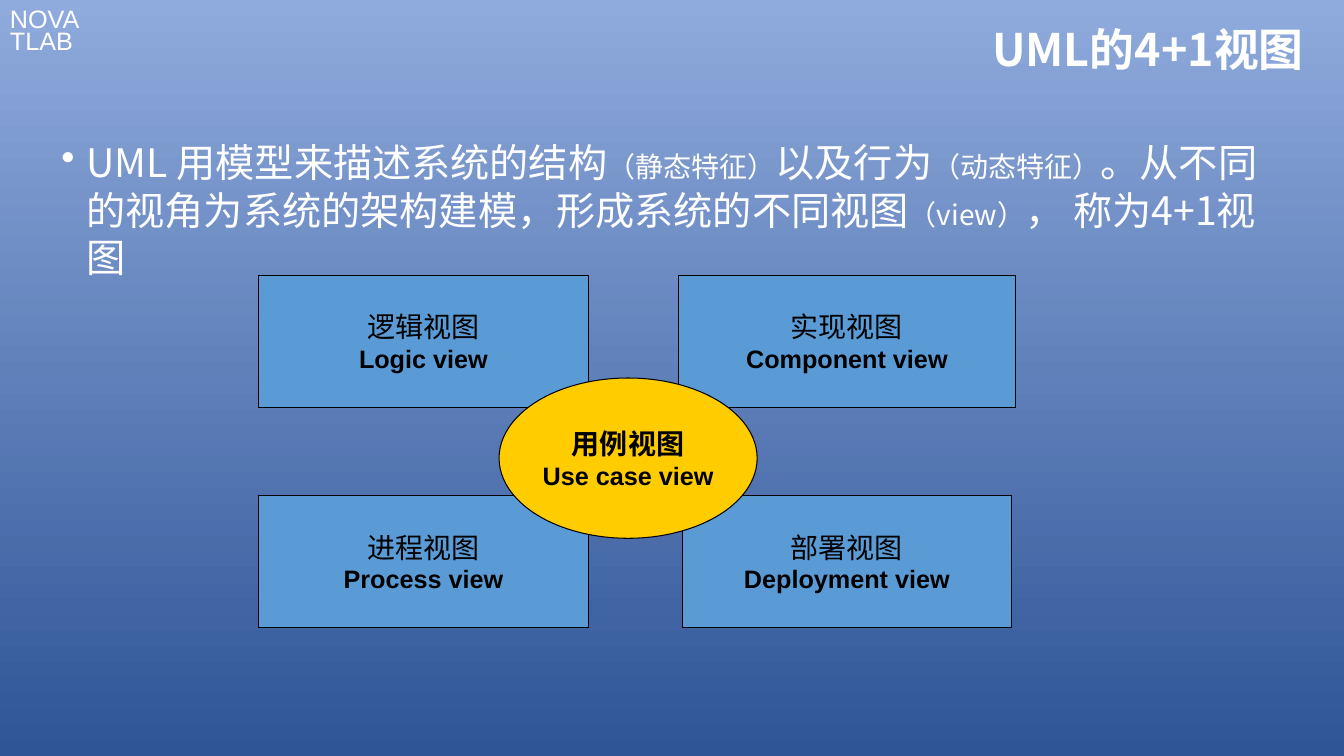
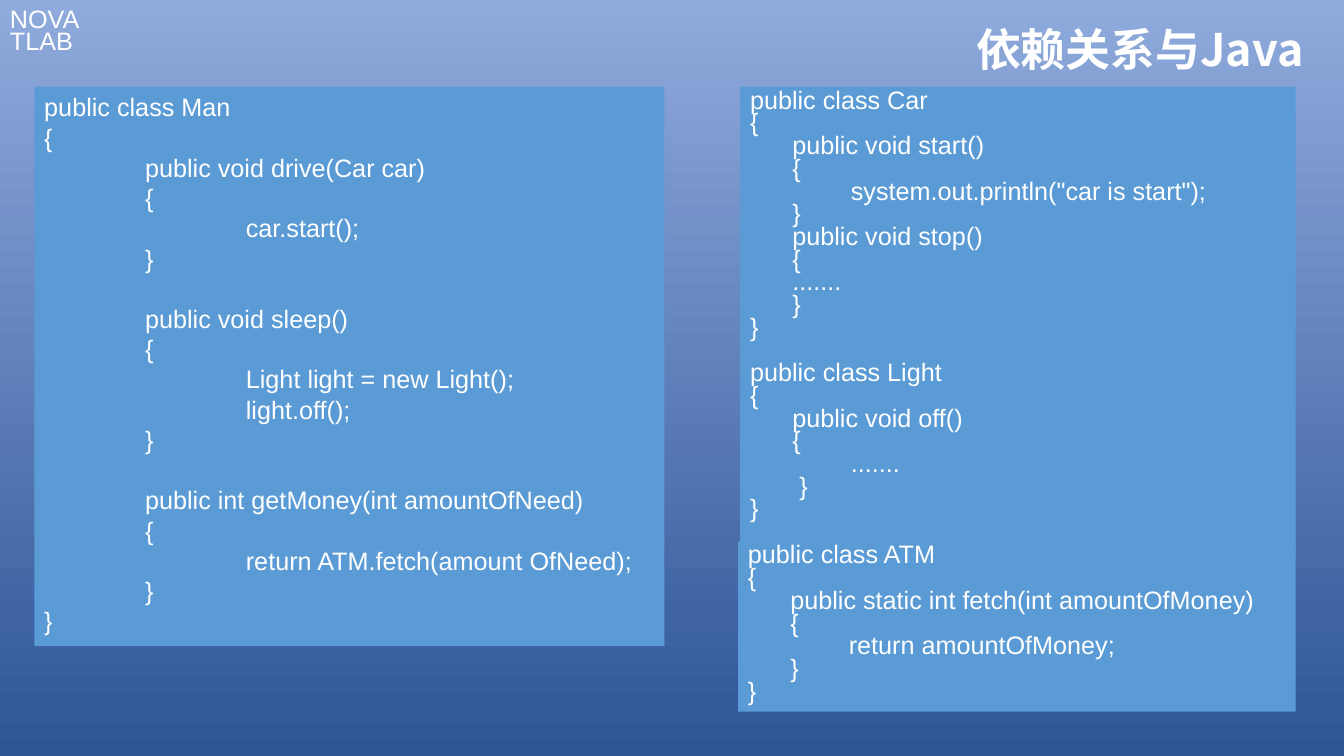
from pptx import Presentation, util as u
from pptx.dml.color import RGBColor
from pptx.enum import shapes, text
from lxml import etree

# Theme
THEME = dict(
    top="8FAADC", base="2F5597", white="FFFFFF", black="000000",
    panel="5B9BD5", core="FFCC00",
    latin="Arial", cjk="Noto Sans CJK SC",
    head=32, body=28, note=20, label=20, code=18,
)
W, H = 13.33, 7.5
LEFT, MID, RIGHT = text.PP_ALIGN.LEFT, text.PP_ALIGN.CENTER, text.PP_ALIGN.RIGHT
RECT, OVAL = shapes.MSO_SHAPE.RECTANGLE, shapes.MSO_SHAPE.OVAL

# Content
LOGO = ["NOVA", "TLAB"]
VIEWS = {
    "title": "UML的4+1视图",
    "body": [
        ("UML 用模型来描述系统的结构", "body"),
        ("（静态特征）", "note"),
        ("以及行为", "body"),
        ("（动态特征）", "note"),
        ("。从不同的视角为系统的架构建模，形成系统的不同视图", "body"),
        ("（view）", "note"),
        ("， 称为4+1视图", "body"),
    ],
    # Chinese name, English name, column, row, width
    "grid": [
        ("逻辑视图", "Logic view", 0, 0, 3.27),
        ("实现视图", "Component view", 1, 0, 3.35),
        ("进程视图", "Process view", 0, 1, 3.27),
        ("部署视图", "Deployment view", 1, 1, 3.27),
    ],
    "core": ("用例视图", "Use case view"),
}

# Code lines are (level, text); None marks a gap
MAN = [
    (0, "public class Man"), (0, "{"),
    (1, "public void drive(Car car)"), (1, "{"),
    (2, "car.start();"), (1, "}"), None,
    (1, "public void sleep()"), (1, "{"),
    (2, "Light light = new Light();"), (2, "light.off();"), (1, "}"), None,
    (1, "public int getMoney(int amountOfNeed)"), (1, "{"),
    (2, "return ATM.fetch(amount OfNeed);"), (1, "}"), (0, "}"),
]
CAR = [
    (0, "public class Car"), (0, "{"),
    (1, "public void start()"), (1, "{"),
    (2, 'system.out.println("car is start");'), (1, "}"),
    (1, "public void stop()"), (1, "{"), (1, "......."), (1, "}"), (0, "}"),
    None,
    (0, "public class Light"), (0, "{"),
    (1, "public void off()"), (1, "{"),
    (2, "......."), (3, "}"), (0, "}"),
]
ATM = [
    (0, "public class ATM"), (0, "{"),
    (1, "public static int fetch(int amountOfMoney)"), (1, "{"),
    (2, "return amountOfMoney;"), (1, "}"), (0, "}"),
]
WIDE, TIGHT = (0, 1, 2), (0, 0.42, 1, 0.49)
CODE = {
    "title": "依赖关系与Java",
    # box, lines, indent of each level, line pitch in points
    "panels": [
        ((0.34, 0.86, 6.25, 5.55), MAN, WIDE, 21.6),
        ((7.34, 0.86, 5.51, 4.64), CAR, TIGHT, 16.2),
        ((7.32, 5.37, 5.53, 1.69), ATM, TIGHT, 16.2),
    ],
}


def rgb(name):
    return RGBColor.from_string(THEME[name])


def write(frame, runs, new=True, size="code", color="white", face="latin",
          bold=False, align=LEFT, pitch=None, before=0, indent=0, bullet=None):
    """Add one paragraph; runs is a string or a list of (string, size)."""
    para = frame.add_paragraph() if new else frame.paragraphs[0]
    para.alignment, para.space_before = align, u.Pt(before)
    if pitch:
        para.line_spacing = pitch
    prop = para._p.get_or_add_pPr()
    if indent:
        prop.set("marL", str(u.Inches(indent)))
    if bullet:
        prop.set("indent", str(-u.Inches(indent)))
        tag = prop.makeelement(NS + "buChar", {"char": bullet})
        prop.append(tag)
    for words, kind in [(runs, size)] if isinstance(runs, str) else runs:
        run = para.add_run()
        run.text = words
        font = run.font
        font.size, font.bold = u.Pt(THEME[kind]), bold
        font.color.rgb, font.name = rgb(color), THEME[face]
        etree.SubElement(run._r.get_or_add_rPr(), NS + "ea",
                         typeface=THEME["cjk"])


NS = "{http://schemas.openxmlformats.org/drawingml/2006/main}"


def frame(slide, box, form=None, fill="panel", line=None, wrap=True,
          anchor=text.MSO_ANCHOR.TOP):
    """Add a text box, or a filled shape, and return its text frame."""
    place = [u.Inches(n) for n in box]
    if form is None:
        item = slide.shapes.add_textbox(*place)
    else:
        item = slide.shapes.add_shape(form, *place)
        item.shadow.inherit = False
        item.fill.solid()
        item.fill.fore_color.rgb = rgb(fill)
        if line:
            item.line.color.rgb, item.line.width = rgb(line), u.Pt(0.75)
        else:
            item.line.fill.background()
    item.text_frame.word_wrap = wrap
    item.text_frame.vertical_anchor = anchor
    return item.text_frame


def start(deck, title):
    """Add a slide with the shared background, mark and title."""
    slide = deck.slides.add_slide(deck.slide_layouts[6])
    fill = slide.background.fill
    fill.gradient()
    fill.gradient_angle = 270
    for stop, name in zip(fill.gradient_stops, ("top", "base")):
        stop.color.rgb = rgb(name)
    mark = frame(slide, (0, 0.05, 1.52, 0.57))
    for i, word in enumerate(LOGO):
        write(mark, word, new=i > 0, pitch=0.75)
    head = frame(slide, (1.73, 0.16, 11.3, 0.71),
                 anchor=text.MSO_ANCHOR.MIDDLE)
    write(head, title, new=False, size="head", face="cjk", bold=True,
          align=RIGHT, pitch=0.9)
    return slide


def label(slide, box, names, strong=False, **look):
    """Add an outlined shape with a Chinese and an English name."""
    area = frame(slide, box, line="black", wrap=False,
                 anchor=text.MSO_ANCHOR.MIDDLE, **look)
    write(area, names[0], new=False, size="label", color="black",
          bold=strong, align=MID)
    write(area, names[1], color="black", bold=True, align=MID)


def views(deck):
    slide = start(deck, VIEWS["title"])
    body = frame(slide, (0.51, 1.32, 12.2, 5.45))
    write(body, VIEWS["body"], new=False, face="cjk", pitch=u.Pt(34),
          indent=0.25, bullet="•")
    # Four views on a grid of column centres and row tops
    for name, gloss, col, row, wide in VIEWS["grid"]:
        box = (4.2 + 4.2 * col - wide / 2, 2.73 + 2.19 * row, wide, 1.31)
        label(slide, box, (name, gloss), form=RECT)
    # The view that joins them
    label(slide, (4.95, 3.75, 2.56, 1.59), VIEWS["core"], strong=True,
          form=OVAL, fill="core")


def code(deck):
    slide = start(deck, CODE["title"])
    for box, lines, steps, pitch in CODE["panels"]:
        area = frame(slide, box, form=RECT)
        gap = 0
        for i, line in enumerate(lines):
            if line is None:
                gap = pitch
                continue
            level, words = line
            write(area, words, new=i > 0, pitch=u.Pt(pitch), before=gap,
                  indent=steps[level])
            gap = 0


def main():
    deck = Presentation()
    deck.slide_width, deck.slide_height = u.Inches(W), u.Inches(H)
    views(deck)
    code(deck)
    deck.save("out.pptx")


if __name__ == "__main__":
    main()
